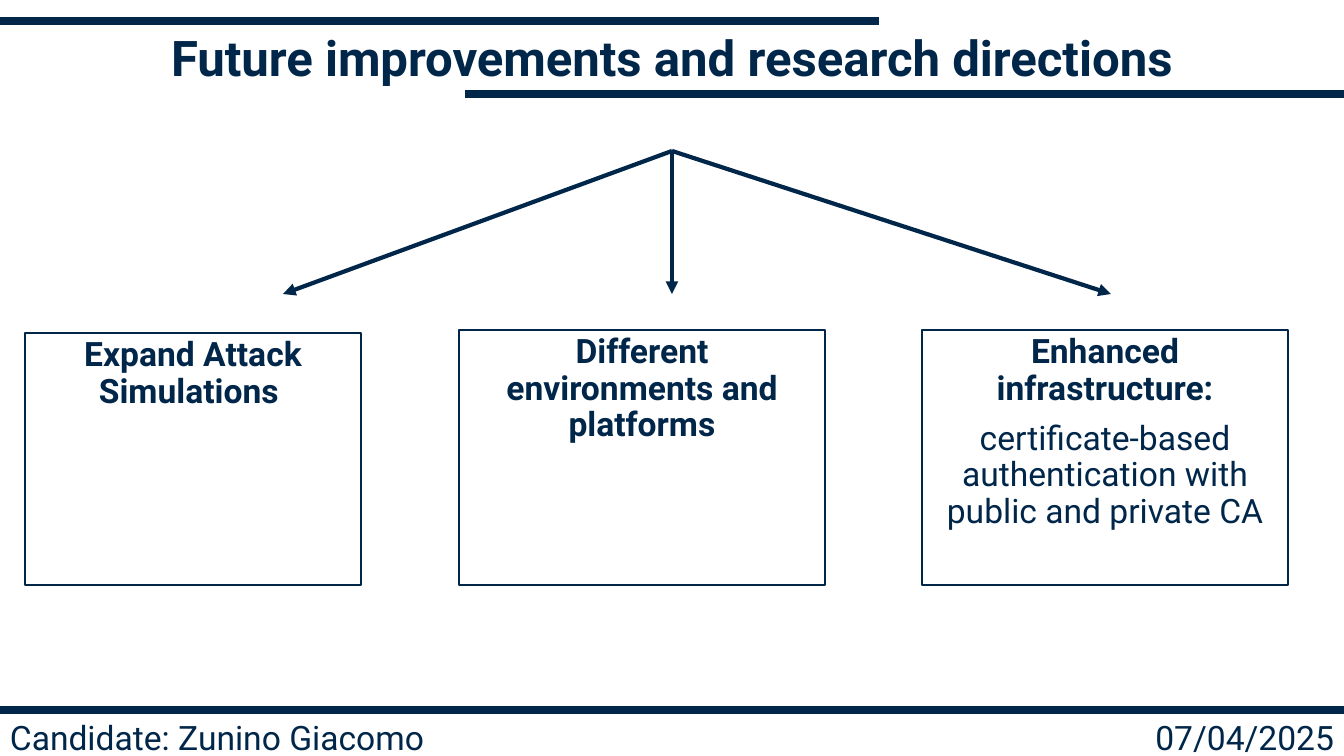
import pptx
import pptx.util
import pptx.dml.color
import pptx.enum.shapes
import pptx.enum.text
import pptx.oxml
import pptx.oxml.ns

ALIGN = pptx.enum.text.PP_ALIGN
ANCHOR = pptx.enum.text.MSO_ANCHOR
SLIDE_WIDTH = 1344
SLIDE_HEIGHT = 756
TITLE_ONLY = 5


def px(length):
    return pptx.util.Emu(round(length * 914400 / 100.8))


def colour(value):
    return pptx.dml.color.RGBColor.from_string(value)


def set_values(target, values):
    for name, value in values.items():
        setattr(target, name, value)


class SlideBuilder:
    navy = "00264A"
    white = "FFFFFF"
    font = "Roboto"

    def __init__(self, deck):
        self.slide = deck.slides.add_slide(deck.slide_layouts[TITLE_ONLY])
        self.shapes = self.slide.shapes
        background = self.slide.background.fill
        background.solid()
        background.fore_color.rgb = colour(self.white)

    def set_text(self, shape, paragraphs, anchor, size=24, **layout):
        frame = shape.text_frame
        set_values(frame, {
            "word_wrap": True,
            "auto_size": pptx.enum.text.MSO_AUTO_SIZE.NONE,
            "vertical_anchor": anchor,
        })
        for index, (text, bold) in enumerate(paragraphs):
            para = frame.add_paragraph() if index else frame.paragraphs[0]
            set_values(para, {
                "line_spacing": 0.9,
                "space_before": pptx.util.Pt(10),
                **layout,
            })
            span = para.add_run()
            span.text = text
            set_values(span.font, {
                "name": self.font,
                "size": pptx.util.Pt(size),
                "bold": bold,
            })
            span.font.color.rgb = colour(self.navy)

    def title(self, text, left, top, width, height):
        title = self.shapes.title
        set_values(title, {
            "left": px(left), "top": px(top),
            "width": px(width), "height": px(height),
        })
        self.set_text(title, [(text, True)], ANCHOR.MIDDLE, 35.1,
                      alignment=ALIGN.CENTER, line_spacing=0.8,
                      space_before=pptx.util.Pt(0))

    def footer(self, text, left, alignment):
        box = self.shapes.add_textbox(px(left), px(715), px(513), px(50))
        self.set_text(box, [(text, False)], ANCHOR.MIDDLE, alignment=alignment)

    def card(self, paragraphs, left, top, width, height):
        box = self.shapes.add_shape(
            pptx.enum.shapes.MSO_SHAPE.RECTANGLE,
            px(left), px(top), px(width), px(height))
        box.shadow.inherit = False
        box.fill.solid()
        box.fill.fore_color.rgb = colour(self.white)
        box.line.color.rgb = colour(self.navy)
        box.line.width = pptx.util.Pt(1.5)
        self.set_text(box, paragraphs, ANCHOR.TOP, alignment=ALIGN.CENTER)

    def line(self, start, end, width):
        line = self.shapes.add_connector(
            pptx.enum.shapes.MSO_CONNECTOR.STRAIGHT,
            *map(px, start + end))
        line.line.color.rgb = colour(self.navy)
        line.line.width = pptx.util.Pt(width)
        line.element.spPr.append(pptx.oxml.parse_xml(
            f"<a:effectLst {pptx.oxml.ns.nsdecls('a')}/>"))
        return line

    def arrow(self, start, end):
        arrow = self.line(start, end, 3)
        outline = arrow.element.spPr.find(pptx.oxml.ns.qn("a:ln"))
        outline.append(pptx.oxml.parse_xml(
            f"<a:tailEnd {pptx.oxml.ns.nsdecls('a')} type='triangle'/>"))


def main():
    deck = pptx.Presentation()
    set_values(deck, {"slide_width": px(SLIDE_WIDTH),
                      "slide_height": px(SLIDE_HEIGHT)})
    page = SlideBuilder(deck)

    page.title("Future improvements and research directions",
               0, 31, SLIDE_WIDTH, 62)
    for left, right, y in ((465, SLIDE_WIDTH, 94), (0, 879, 21),
                           (0, SLIDE_WIDTH, 710)):
        page.line((left, y), (right, y), 6)

    page.footer("Candidate: Zunino Giacomo", 0, ALIGN.LEFT)
    page.footer("07/04/2025", SLIDE_WIDTH - 513, ALIGN.RIGHT)

    page.card([("Expand Attack Simulations ", True)], 25, 333, 336, 252)
    page.card([("Different environments and platforms", True)],
              459, 330, 366, 255)
    page.card([
        ("Enhanced infrastructure:", True),
        ("certificate-based authentication with public and private CA", False),
    ], 922, 330, 366, 255)

    for target in (283, 1111, 672):
        page.arrow((672, 151), (target, 294))

    deck.save("out.pptx")


if __name__ == "__main__":
    main()
